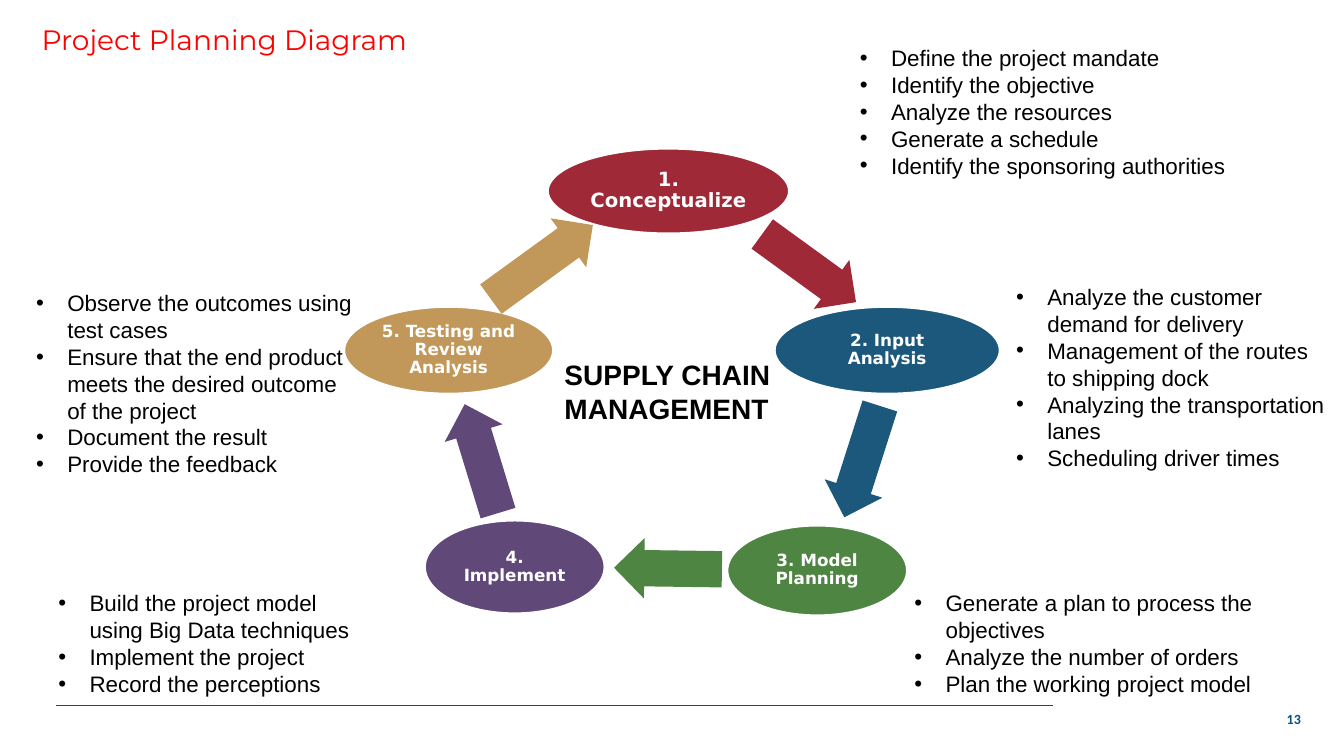
"""Build the project planning cycle slide with its five stages and notes."""
from lxml.etree import SubElement
from pptx import Presentation
from pptx.dml.color import RGBColor
from pptx.enum.shapes import MSO_CONNECTOR, MSO_SHAPE
from pptx.enum.text import MSO_ANCHOR, PP_ALIGN
from pptx.oxml.ns import qn
from pptx.util import Pt

PX = 9144
BULLET_INDENT = 31


def color(value):
    return RGBColor.from_string(value)


def write(shape, lines, font_format, font_color="000000", align=PP_ALIGN.LEFT, bullet=False):
    frame = shape.text_frame
    frame.word_wrap = True
    frame.text = "\n".join(lines)
    for paragraph in frame.paragraphs:
        paragraph.alignment = align
        for name, value in font_format.items():
            setattr(paragraph.font, name, value)
        paragraph.font.color.rgb = color(font_color)
        if bullet:
            properties = paragraph._p.get_or_add_pPr()
            properties.set("marL", str(BULLET_INDENT * PX))
            properties.set("indent", str(-BULLET_INDENT * PX))
            SubElement(properties, qn("a:buFont"), typeface="Arial")
            SubElement(properties, qn("a:buChar"), char="•")
            properties.append(properties.find(qn("a:defRPr")))
    return frame


presentation = Presentation()
presentation.slide_width = 1333 * PX
presentation.slide_height = 750 * PX
slide = presentation.slides.add_slide(presentation.slide_layouts[6])
shapes = slide.shapes

footer_line = shapes.add_connector(
    MSO_CONNECTOR.STRAIGHT, 56 * PX, 700 * PX, 1044 * PX, 700 * PX
)
footer_line.line.color.rgb = color("005483")
footer_line.line.width = Pt(0.75)
SubElement(footer_line._element.spPr, qn("a:effectLst"))

stages = [
    ("1. Conceptualize", 14, "9F2936", (543, 147, 240, 85), (745, 236, 115, 60), 36),
    ("2. Input Analysis", 12, "1B587C", (768, 304, 224, 87), (797, 428, 116, 60), 107.7),
    ("3. Model Planning", 12, "4E8542", (721, 521, 179, 90), (609, 534, 107, 60), 180.8),
    ("4. Implement", 12, "604878", (421, 516, 179, 93), (421, 425, 113, 60), 253),
    ("5. Testing and Review Analysis", 12, "C19859", (341, 304, 208, 87), (475, 230, 125, 60), 324),
]
for label, size, fill, ellipse_box, arrow_box, angle in stages:
    ellipse = shapes.add_shape(MSO_SHAPE.OVAL, *[length * PX for length in ellipse_box])
    arrow = shapes.add_shape(MSO_SHAPE.RIGHT_ARROW, *[length * PX for length in arrow_box])
    for shape in (ellipse, arrow):
        shape.shadow.inherit = False
        shape.fill.solid()
        shape.fill.fore_color.rgb = color(fill)
    ellipse.line.color.rgb = color("FFFFFF")
    ellipse.line.width = Pt(2)
    arrow.line.fill.background()
    arrow.adjustments[0] = 0.6
    arrow.adjustments[1] = 0.5
    arrow.rotation = angle
    label_font = {"name": "DejaVu Sans", "size": Pt(size), "bold": True}
    frame = write(ellipse, [label], label_font, "FFFFFF", PP_ALIGN.CENTER)
    frame.paragraphs[0].line_spacing = 0.9
    frame_format = {"vertical_anchor": MSO_ANCHOR.MIDDLE}
    for side in ("left", "top", "right", "bottom"):
        frame_format[f"margin_{side}"] = 2 * PX
    for name, value in frame_format.items():
        setattr(frame, name, value)

captions = [
    ("SUPPLY CHAIN MANAGEMENT", (550, 350, 237, 77),
     {"name": "Arial", "size": Pt(20), "bold": True}, "000000", PP_ALIGN.LEFT),
    ("Project Planning Diagram", (3, 17, 439, 44),
     {"name": "Montserrat", "size": Pt(20)}, "FF0000", PP_ALIGN.CENTER),
    ("13", (956, 700, 344, 35),
     {"name": "Calibri", "size": Pt(10), "bold": True}, "005483", PP_ALIGN.RIGHT),
]
for caption, box, font_format, font_color, align in captions:
    textbox = shapes.add_textbox(*[length * PX for length in box])
    write(textbox, [caption], font_format, font_color, align)

notes = [
    ((843, 39, 422, 205), [
        "Define the project mandate",
        "Identify the objective",
        "Analyze the resources",
        "Generate a schedule",
        "Identify the sponsoring authorities",
    ]),
    ((998, 276, 326, 199), [
        "Analyze the customer demand for delivery",
        "Management of the routes to shipping dock",
        "Analyzing the transportation lanes",
        "Scheduling driver times",
    ]),
    ((897, 580, 388, 118), [
        "Generate a plan to process the objectives",
        "Analyze the number of orders",
        "Plan the working project model",
    ]),
    ((48, 580, 332, 118), [
        "Build the project model using Big Data techniques",
        "Implement the project",
        "Record the perceptions",
    ]),
    ((26, 282, 336, 252), [
        "Observe the outcomes using test cases",
        "Ensure that the end product meets the desired outcome of the project",
        "Document the result",
        "Provide the feedback",
    ]),
]
for box, lines in notes:
    textbox = shapes.add_textbox(*[length * PX for length in box])
    write(textbox, lines, {"name": "Arial", "size": Pt(16)}, bullet=True)

presentation.save("out.pptx")
